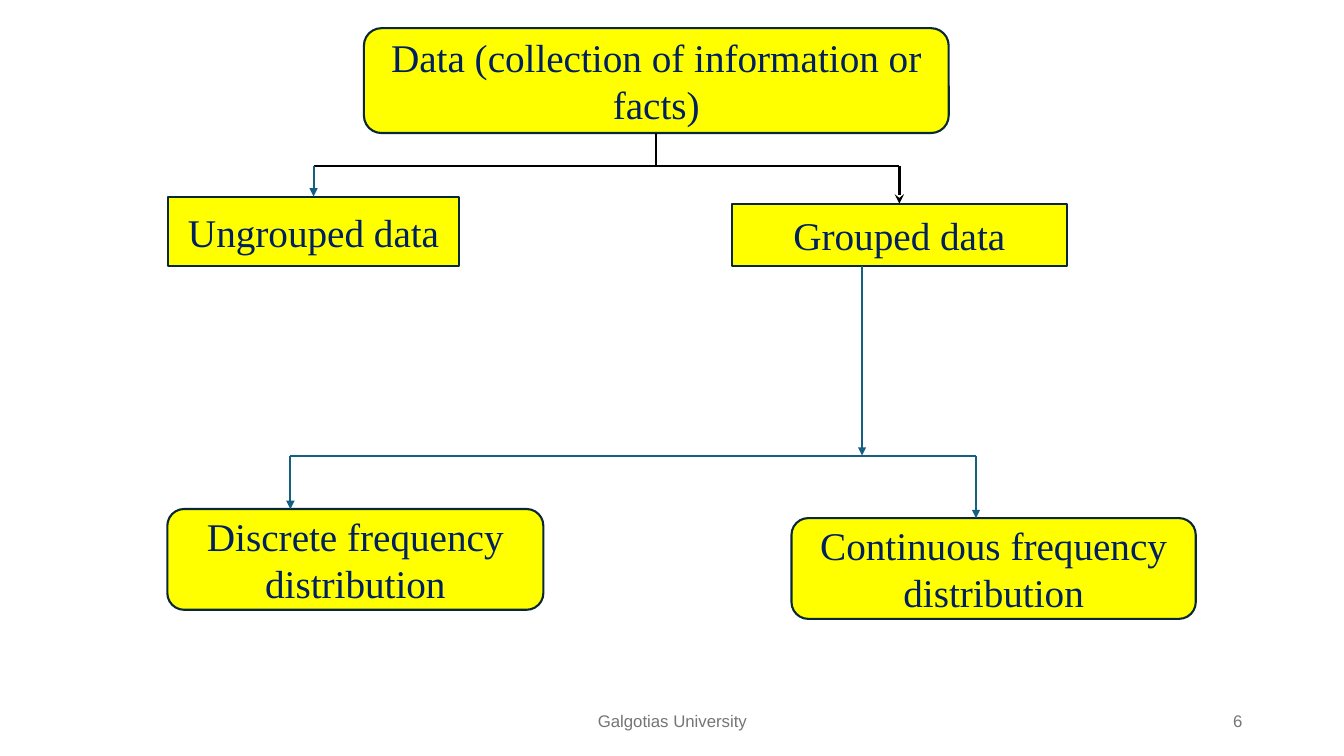
from lxml import etree
from pptx import Presentation
from pptx.dml.color import RGBColor
from pptx.enum import shapes, text
from pptx.oxml import ns
from pptx.util import Inches, Pt

YELLOW = RGBColor(0xFF, 0xFF, 0x00)
EDGE = RGBColor(0x08, 0x28, 0x36)
NAVY = RGBColor(0x00, 0x20, 0x60)
TEAL = RGBColor(0x15, 0x60, 0x82)
BLACK = RGBColor(0x00, 0x00, 0x00)
GREY = RGBColor(0x75, 0x75, 0x75)

ROUND = shapes.MSO_SHAPE.ROUNDED_RECTANGLE
RECT = shapes.MSO_SHAPE.RECTANGLE
MID = text.PP_ALIGN.CENTER
RIGHT = text.PP_ALIGN.RIGHT
TOP, BOTTOM = 0, 2

# key: (shape, words, (left, top, width, height))
NODES = {
    "data": (ROUND, "Data (collection of information or facts)", (3.61, 0.28, 5.8, 1.04)),
    "grouped": (RECT, "Grouped data", (7.26, 2.02, 3.32, 0.62)),
    "ungrouped": (RECT, "Ungrouped data", (1.67, 1.95, 2.88, 0.69)),
    "discrete": (ROUND, "Discrete frequency distribution", (1.66, 5.05, 3.73, 1)),
    "continuous": (ROUND, "Continuous frequency distribution", (7.85, 5.14, 4.01, 1)),
}

# heights of the two branch bars
UPPER, LOWER = 1.65, 4.52

# (start, end, colour, width, arrowhead); an end is a point or (node, side)
LINES = [
    (("data", BOTTOM), (6.51, UPPER), BLACK, 1.5, None),
    ((3.11, UPPER), (8.92, UPPER), BLACK, 1.5, None),
    ((3.11, UPPER), ("ungrouped", TOP), TEAL, 1.5, "triangle"),
    ((8.92, UPPER), ("grouped", TOP), BLACK, 2.25, "stealth"),
    ((8.55, 2.64), (8.55, LOWER), TEAL, 1.5, "triangle"),
    ((2.88, LOWER), (9.68, LOWER), TEAL, 1.5, None),
    ((2.88, LOWER), (2.88, 5.05), TEAL, 1.5, "triangle"),
    ((9.68, LOWER), (9.68, 5.14), TEAL, 1.5, "triangle"),
]

FOOTER = [
    ("Galgotias University", (4.42, 6.95, 4.5, 0.4), MID),
    ("6", (9.42, 6.95, 3, 0.4), RIGHT),
]


def write(shape, words, font, size, color, align):
    frame = shape.text_frame
    frame.word_wrap = True
    frame.vertical_anchor = text.MSO_ANCHOR.MIDDLE
    para = frame.paragraphs[0]
    para.alignment = align
    run = para.add_run()
    run.text = words
    run.font.name = font
    run.font.size = Pt(size)
    run.font.color.rgb = color


def add_node(slide, kind, words, box):
    node = slide.shapes.add_shape(kind, *map(Inches, box))
    node.shadow.inherit = False
    node.fill.solid()
    node.fill.fore_color.rgb = YELLOW
    node.line.color.rgb = EDGE
    node.line.width = Pt(1.5)
    write(node, words, "Times New Roman", 28, NAVY, MID)
    return node


def add_line(slide, nodes, start, end, color, width, head):
    """Draw a line, joining each end that names a node."""
    ends = [(0, 0) if spot[0] in nodes else spot for spot in (start, end)]
    line = slide.shapes.add_connector(
        shapes.MSO_CONNECTOR.STRAIGHT, *(Inches(n) for point in ends for n in point))
    for spot, join in ((start, line.begin_connect), (end, line.end_connect)):
        if spot[0] in nodes:
            join(nodes[spot[0]], spot[1])
    line.line.color.rgb = color
    line.line.width = Pt(width)
    props = line._element.spPr
    if head:
        etree.SubElement(props.find(ns.qn("a:ln")), ns.qn("a:tailEnd"), type=head)
    etree.SubElement(props, ns.qn("a:effectLst"))


def main():
    deck = Presentation()
    deck.slide_width, deck.slide_height = Inches(13.33), Inches(7.5)
    slide = deck.slides.add_slide(deck.slide_layouts[6])
    for words, box, align in FOOTER:
        label = slide.shapes.add_textbox(*map(Inches, box))
        write(label, words, "Arial", 12, GREY, align)
    nodes = {key: add_node(slide, *node) for key, node in NODES.items()}
    for line in LINES:
        add_line(slide, nodes, *line)
    deck.save("out.pptx")


if __name__ == "__main__":
    main()
